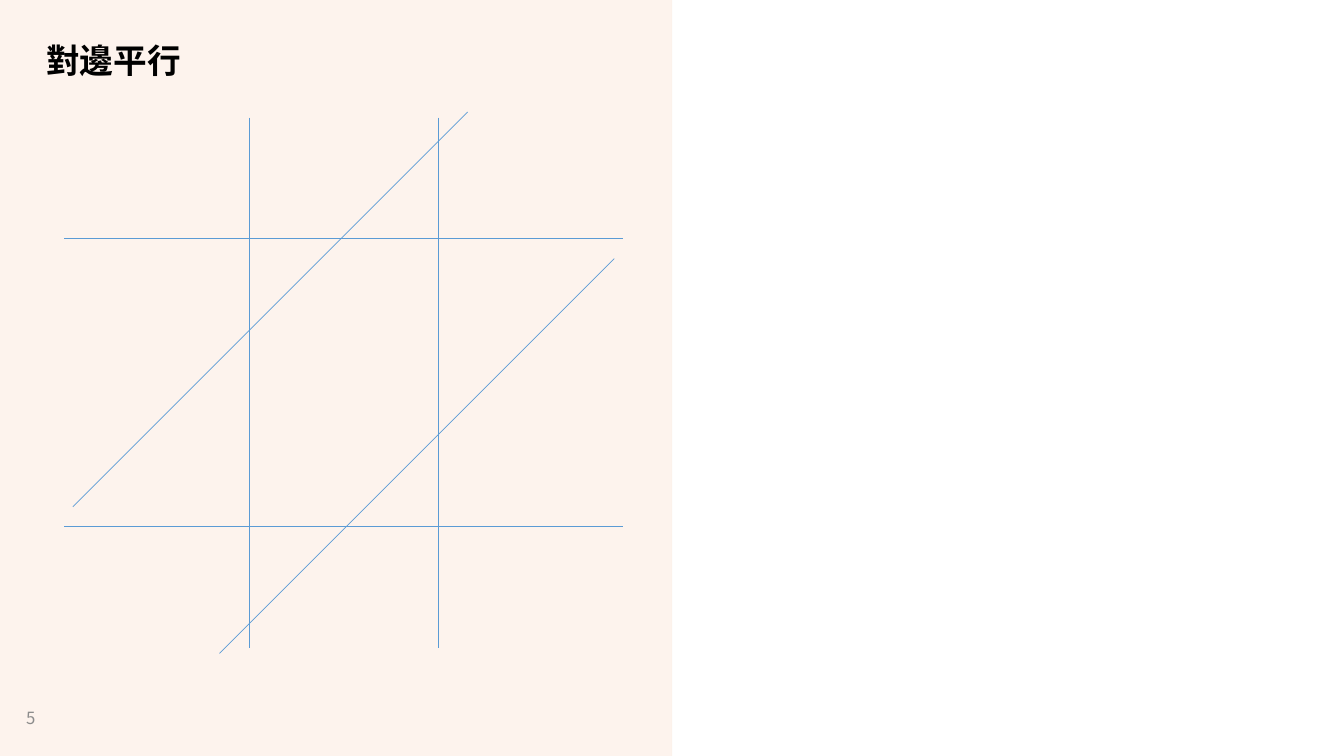
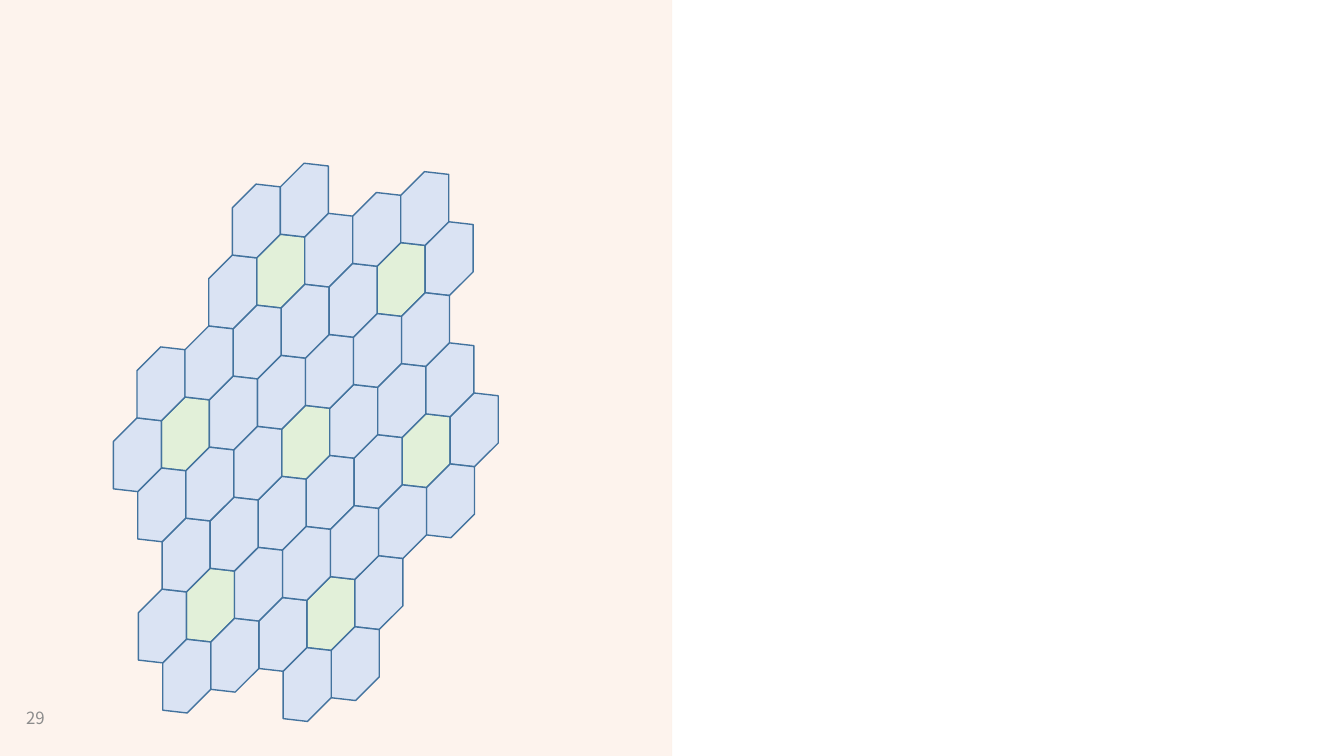
import pptx
import pptx.util
import pptx.dml.color
import pptx.enum.shapes
import pptx.enum.text
import pptx.oxml.ns
import lxml.etree

Pt = pptx.util.Pt
qn = pptx.oxml.ns.qn
WIDTH, HEIGHT = 960, 540
FONT = "Noto Sans CJK SC"
HUES = {
    "page": "FFFFFF", "band": "F4B183", "edge": "FBE5D6", "title": "000000",
    "number": "8C8C8C", "rule": "5B9BD5", "outline": "43739E",
    "center": "E2F0D9", "petal": "DAE3F3",
}
TITLE = {"size": Pt(24), "bold": True, "name": FONT}
NUMBER = {"size": Pt(12), "bold": False, "name": FONT}
FRAME = {"word_wrap": True, "vertical_anchor": pptx.enum.text.MSO_ANCHOR.MIDDLE}

PAIRS = [
    ((178, 84), (178, 463), (135.4, 0)),
    ((334, 80), (52, 362), (104.8, 104.8)),
    ((445, 170.6), (46, 170.6), (0, 205.2)),
]

START = (201.3, 340.3)
SIDES = [(0, -33.8), (16.9, -16.9), (17.4, 2)]
RIGHT = (34.3, -14.9)
DOWN = (17.4, 35.8)


def tint(part, hue):
    part.rgb = pptx.dml.color.RGBColor.from_string(HUES[hue])


def paint(fill, hue):
    fill.solid()
    tint(fill.fore_color, hue)


def apply(item, values):
    for key, value in values.items():
        setattr(item, key, value)


def fade(shape, percent):
    for color in shape.element.spPr.iter(qn("a:srgbClr")):
        alpha = lxml.etree.SubElement(color, qn("a:alpha"))
        alpha.set("val", str(percent * 1000))


def add_line(shapes, start, end, hue, width):
    kind = pptx.enum.shapes.MSO_CONNECTOR.STRAIGHT
    line = shapes.add_connector(kind, *map(Pt, (*start, *end)))
    tint(line.line.color, hue)
    line.line.width = Pt(width)
    lxml.etree.SubElement(line.element.spPr, qn("a:effectLst"))
    return line


def add_text(slide, place, words, style, hue, space=1.0):
    frame = slide.shapes.add_textbox(*map(Pt, place)).text_frame
    apply(frame, FRAME)
    para = frame.paragraphs[0]
    para.line_spacing = space
    run = para.add_run()
    run.text = words
    apply(run.font, style)
    tint(run.font.color, hue)
    east = lxml.etree.SubElement(run.font._element, qn("a:ea"))
    east.set("typeface", FONT)


def add_page(deck, number):
    slide = deck.slides.add_slide(deck.slide_layouts[6])
    paint(slide.background.fill, "page")
    kind = pptx.enum.shapes.MSO_SHAPE.RECTANGLE
    band = slide.shapes.add_shape(kind, 0, 0, Pt(WIDTH / 2), Pt(HEIGHT))
    band.shadow.inherit = False
    paint(band.fill, "band")
    band.line.fill.background()
    fade(band, 14)
    edge = add_line(slide.shapes, (WIDTH / 2, HEIGHT), (WIDTH / 2, 0), "edge", 0.25)
    fade(edge, 50)
    add_text(slide, (11.5, 499, 48, 28), number, NUMBER, "number")
    return slide


def add_pair(slide, start, end, shift):
    shapes = slide.shapes.add_group_shape().shapes
    for step in (0, 1):
        ends = [[p + step * s for p, s in zip(point, shift)] for point in (start, end)]
        add_line(shapes, *ends, "rule", 0.5)


def add_cell(shapes, col, row, hue):
    x, y = (s + col * r + row * d for s, r, d in zip(START, RIGHT, DOWN))
    build = shapes.build_freeform(Pt(x), Pt(y))
    points = []
    for sign in (1, -1):
        for dx, dy in SIDES:
            x, y = x + sign * dx, y + sign * dy
            points.append((Pt(x), Pt(y)))
    build.add_line_segments(points[:-1], close=True)
    cell = build.convert_to_shape()
    cell.shadow.inherit = False
    paint(cell.fill, hue)
    tint(cell.line.color, "outline")
    cell.line.width = Pt(1)


def turns(col, row):
    for _ in range(6):
        yield col, row
        col, row = -row, col + row


def add_bloom(shapes, col, row):
    add_cell(shapes, col, row, "center")
    for right, down in turns(1, 0):
        add_cell(shapes, col + right, row + down, "petal")


def main():
    deck = pptx.Presentation()
    apply(deck, {"slide_width": Pt(WIDTH), "slide_height": Pt(HEIGHT)})

    slide = add_page(deck, "5")
    add_text(slide, (26, 28.8, 428, 31.7), "對邊平行", TITLE, "title", 0.9)
    for pair in PAIRS:
        add_pair(slide, *pair)

    slide = add_page(deck, "29")
    shapes = slide.shapes.add_group_shape().shapes
    for col, row in [(0, 0), *turns(1, -3)]:
        add_bloom(shapes, col, row)

    deck.save("out.pptx")


if __name__ == "__main__":
    main()
